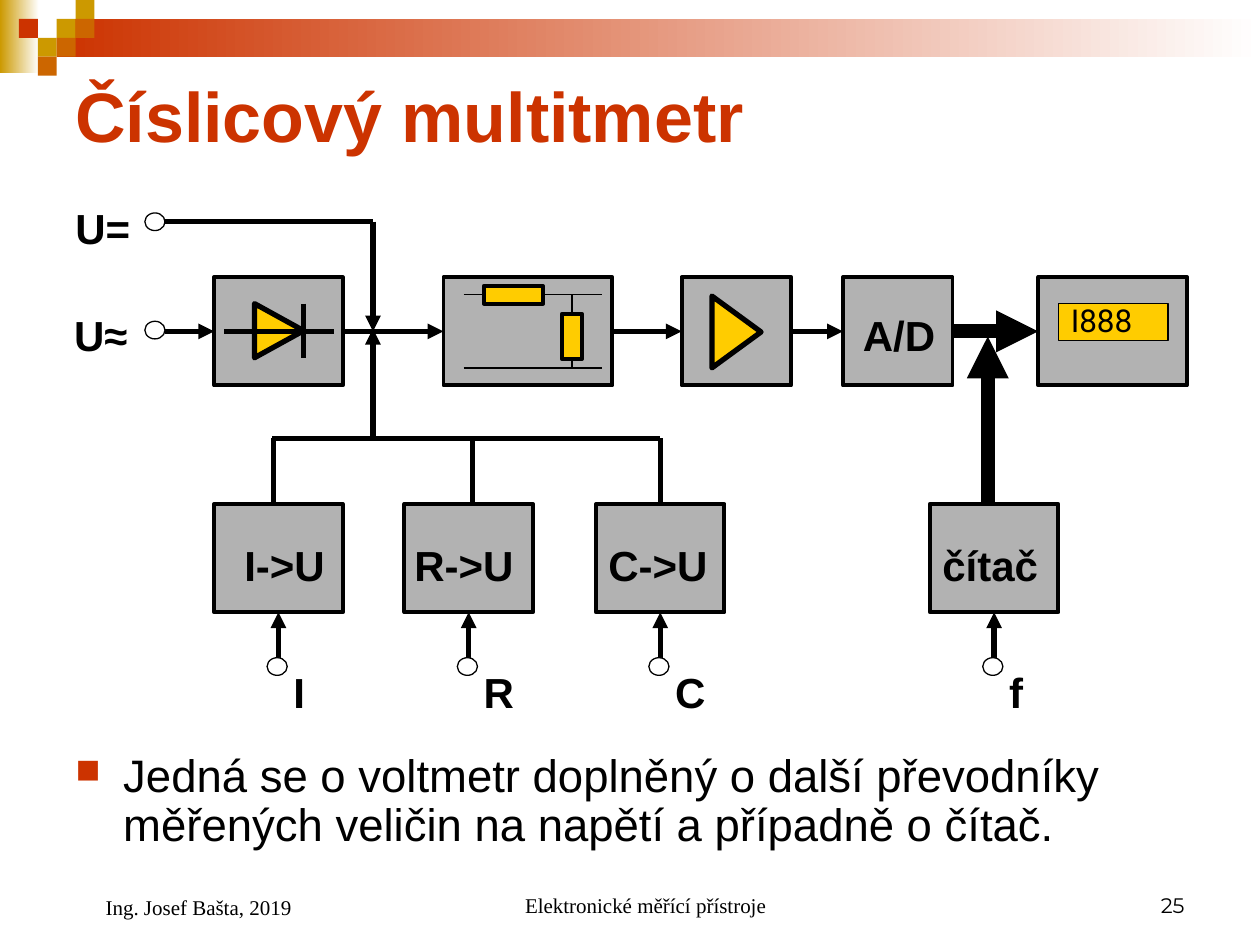
import pptx
import pptx.util
import pptx.dml.color
import pptx.enum.shapes
import pptx.enum.text
from pptx.oxml.ns import qn
from lxml import etree

Pt = pptx.util.Pt
SHAPE = pptx.enum.shapes.MSO_SHAPE
ALIGN = pptx.enum.text.PP_ALIGN
ANCHOR = pptx.enum.text.MSO_ANCHOR
COLS, ROWS = 100, 75

prs = pptx.Presentation()
prs.slide_width = pptx.util.Inches(10)
prs.slide_height = pptx.util.Inches(7.5)
COL = prs.slide_width / COLS
ROW = prs.slide_height / ROWS


def rgb(value):
    return pptx.dml.color.RGBColor.from_string(value)


def cells(x, y):
    return round(x * COL), round(y * ROW)


def block(s, x, y, w, h, fill="B2B2B2", line=2.25, kind=SHAPE.RECTANGLE):
    sp = s.shapes.add_shape(kind, *cells(x, y), *cells(w, h))
    sp.shadow.inherit = False
    sp.fill.solid()
    sp.fill.fore_color.rgb = rgb(fill)
    if line:
        sp.line.color.rgb = rgb("000000")
        sp.line.width = Pt(line)
    else:
        sp.line.fill.background()
    return sp


def triangle(s, x, y, w, h):
    sp = block(s, x, y, w, h, "FFCC00", 3, SHAPE.ISOSCELES_TRIANGLE)
    sp.rotation = 90


def terminal(s, x, y):
    block(s, x, y, 1.6, 1.4, "FFFFFF", 0.75, SHAPE.OVAL)


def wire(s, start, end, width=3, arrow=False):
    joined = [not isinstance(e[0], (int, float)) for e in (start, end)]
    points = [(0, 0) if j else cells(*e) for j, e in zip(joined, (start, end))]
    cn = s.shapes.add_connector(
        pptx.enum.shapes.MSO_CONNECTOR.STRAIGHT, *points[0], *points[1])
    if joined[0]:
        cn.begin_connect(*start)
    if joined[1]:
        cn.end_connect(*end)
    cn.line.color.rgb = rgb("000000")
    cn.line.width = Pt(width)
    if arrow:
        etree.SubElement(cn.line._get_or_add_ln(), qn("a:tailEnd"), type="triangle")
    etree.SubElement(cn._element.spPr, qn("a:effectLst"))


def text(s, x, y, w, h, words, size=24, font="Arial", color="000000", bold=False,
         anchor=ANCHOR.TOP, align=ALIGN.LEFT, indent=0):
    tf = s.shapes.add_textbox(*cells(x, y), *cells(w, h)).text_frame
    tf.word_wrap = True
    tf.vertical_anchor = anchor
    p = tf.paragraphs[0]
    p.text = words
    p.alignment = align
    if indent:
        p._p.get_or_add_pPr().set("marL", str(cells(indent, 0)[0]))
    f = p.runs[0].font
    f.size, f.name, f.bold = Pt(size), font, bold
    f.color.rgb = rgb(color)
    return p


def label(s, x, y, w, words):
    text(s, x, y, w, 5, words, bold=True)


def banner(s, x, y, w):
    for dx, dy, bw, bh, color in ((0, 0, 3.1, 5.8, "CC9900"),
                                  (4.5, 1.5, w - 4.5, 3, "CC3300")):
        sp = block(s, x + dx, y + dy, bw, bh, line=0)
        sp.fill.gradient()
        sp.fill.gradient_angle = 0
        for stop, shade in zip(sp.fill.gradient_stops, (color, "FFFFFF")):
            stop.color.rgb = rgb(shade)
    tile = 1.5
    for column, row, color in ((3, 1, "CC9900"), (4, 0, "CC9900"), (4, 1, "CC6600"),
                               (2, 2, "CC9900"), (1, 1, "CC3300"), (3, 2, "CC6600"),
                               (2, 3, "CC6600")):
        block(s, x + column * tile, y + row * tile, tile, tile, color, 0)


def detector(s, x, y, w, h):
    sp = block(s, x, y, w, h)
    triangle(s, x + 3, y + 2.3, 4.3, 3.9)
    wire(s, (x + 7.1, y + 2.1), (x + 7.1, y + 6.4))
    wire(s, (x + 0.8, y + h / 2), (x + 9.5, y + h / 2))
    return sp


def divider(s, x, y, w, h):
    sp = block(s, x, y, w, h)
    top, bottom, tap = y + 1.4, y + 7.2, x + 10.2
    wire(s, (x + 1.6, top), (x + 12.6, top), 0.75)
    wire(s, (x + 1.6, bottom), (x + 12.6, bottom), 0.75)
    wire(s, (tap, top), (tap, bottom), 0.75)
    block(s, x + 3.2, y + 0.7, 4.7, 1.4, "FFCC00")
    block(s, tap - 0.8, y + 2.9, 1.6, 3.6, "FFCC00")
    return sp


def amplifier(s, x, y, w, h):
    sp = block(s, x, y, w, h)
    triangle(s, x + 1.5, y + 2.4, 5.7, 3.9)
    return sp


def adc(s, x, y, w, h):
    sp = block(s, x, y, w, h)
    label(s, x + 0.6, y + 2.1, 9.5, "A/D")
    return sp


def display(s, x, y, w, h):
    sp = block(s, x, y, w, h)
    block(s, x + 1.6, y + 2.1, 8.7, 2.9, "FFCC00", 0.75)
    text(s, x + 1.6, y + 1.4, 9.4, 4, "I888", 18, "Roboto")
    return sp


def converter(s, x, y, w, h, words, shift, quantity):
    sp = block(s, x, y, w, h)
    label(s, x + shift, y + 2.3, 10.5, words)
    wire(s, (x + w / 2, y + 12.3), (sp, 2), arrow=True)
    terminal(s, x + 4.2, y + 12.2)
    label(s, x + 5.3, y + 12.4, 5.2, quantity)
    return sp


def signal_row(s, x, y, h):
    parts = ((detector, 12, 10.2), (divider, 30.2, 13.4), (amplifier, 49.1, 8.7),
             (adc, 61.9, 8.7), (display, 77.4, 11.8))
    chain = [draw(s, x + dx, y, w, h) for draw, dx, w in parts]
    for left, right, width in zip(chain, chain[1:], (3, 3, 3, 8)):
        wire(s, (left, 3), (right, 1), width, True)
    middle = y + h / 2
    wire(s, (x + 8.1, middle), (chain[0], 1), arrow=True)
    terminal(s, x + 6.5, middle - 0.8)
    label(s, x - 0.1, y + 2.1, 8.2, "U≈")


def direct_input(s, x, y, junction, drop):
    terminal(s, x + 6.5, y - 0.7)
    label(s, x, y - 2, 8.1, "U=")
    wire(s, (x + 8.1, y), (junction, y))
    wire(s, (junction, y), (junction, y + drop), arrow=True)


def converter_row(s, x, y, w, h, junction):
    bus = y - 5.2
    for dx, words, shift, quantity, lead in (
            (0, "I->U", 1.4, "I", 4.7), (15.1, "R->U", -0.2, "R", 5.4),
            (30.3, "C->U", 0, "C", w / 2)):
        sp = converter(s, x + dx, y, w, h, words, shift, quantity)
        start = (sp, 0) if lead == w / 2 else (x + dx + lead, y)
        wire(s, start, (x + dx + lead, bus))
    wire(s, (x + 4.6, bus), (x + 35.4, bus))
    wire(s, (junction, bus), (junction, y - 13.9), arrow=True)
    converter(s, x + 56.8, y, w, h, "čítač", 0, "f")
    wire(s, (x + 61.4, y), (x + 61.4, y - 13.3), 8, True)


def summary(s, x, y, w, h):
    p = text(s, x, y, w, h, "Jedná se o voltmetr doplněný o další převodníky "
             "měřených veličin na napětí a případně o čítač.", 26, indent=3.8)
    p.line_spacing = 0.9
    pPr = p._p.get_or_add_pPr()
    pPr.set("indent", str(-cells(3.8, 0)[0]))
    color = etree.SubElement(pPr, qn("a:buClr"))
    etree.SubElement(color, qn("a:srgbClr"), val="CC3300")
    etree.SubElement(pPr, qn("a:buSzPct"), val="75000")
    etree.SubElement(pPr, qn("a:buChar"), char="■")


def footer(s, x, y, h):
    low = ANCHOR.BOTTOM
    serif = "Times New Roman"
    text(s, x, y, 23.3, h + 0.2, "Ing. Josef Bašta, 2019", 12, serif, anchor=low, indent=2.4)
    text(s, x + 29.2, y, 31.7, h, "Elektronické měřící přístroje", 12, serif,
         anchor=low, align=ALIGN.CENTER, indent=2.4)
    text(s, x + 66.7, y, 23.3, h, "25", 12, "Montserrat", anchor=low, align=ALIGN.RIGHT)


def main():
    s = prs.slides.add_slide(prs.slide_layouts[6])
    margin, junction = 5, 29.6
    banner(s, 0, 0, COLS)
    text(s, margin, 5, 90, 8.2, "Číslicový multitmetr", 40, color="CC3300",
         bold=True, anchor=ANCHOR.MIDDLE)
    signal_row(s, margin, 22, 8.6)
    direct_input(s, margin, 17.6, junction, 8.7)
    converter_row(s, 17, 40, 10.2, 8.6, junction)
    summary(s, margin, 59.3, 90, 9.7)
    footer(s, margin, 68.3, 5)
    prs.save("out.pptx")


if __name__ == "__main__":
    main()
